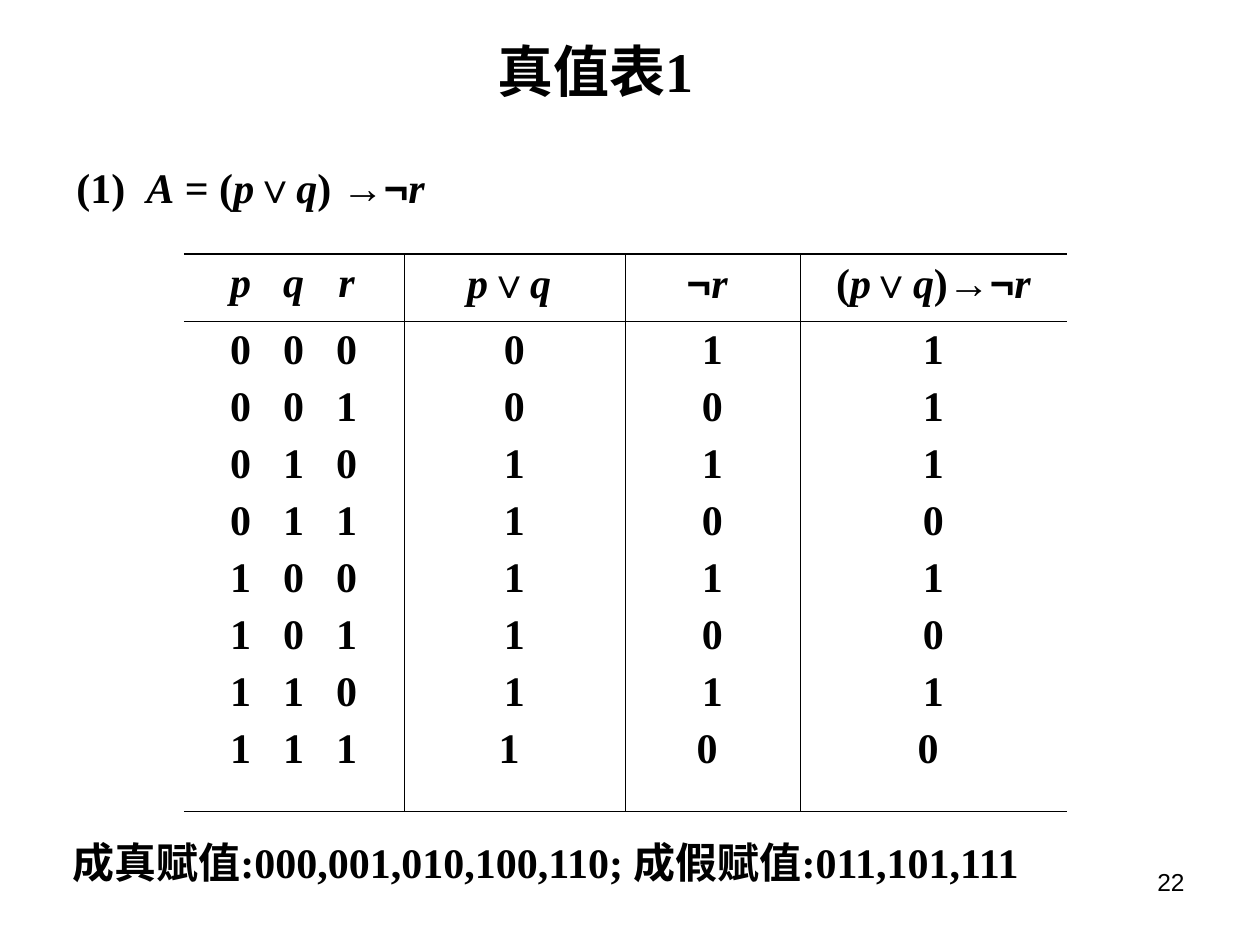
from dataclasses import dataclass
from itertools import groupby

from lxml.etree import SubElement
from pptx import Presentation
from pptx.dml.color import RGBColor
from pptx.enum.text import MSO_ANCHOR as Anchor, MSO_AUTO_SIZE as AutoSize, PP_ALIGN as Align
from pptx.oxml.ns import qn
from pptx.util import Pt

EMU_PER_PX = 914400 / 126


@dataclass(frozen=True)
class Theme:
    ink: str = "000000"
    serif: str = "Times New Roman"
    sans: str = "Arial"
    title: int = 32
    body: int = 24
    page: int = 14
    thin: float = 0.45
    thick: float = 1.08


@dataclass(frozen=True)
class Box:
    left: int
    top: int
    width: int
    height: int

    def emu(self) -> list[int]:
        return [px(n) for n in (self.left, self.top, self.width, self.height)]


@dataclass(frozen=True)
class Tab:
    at: int
    align: str = "l"


@dataclass(frozen=True)
class Style:
    size: int
    font: str
    bold: bool = True
    align: Align = Align.LEFT
    before: int = 0
    tabs: tuple[Tab, ...] = ()


@dataclass(frozen=True)
class Column:
    width: int
    heading: str
    values: tuple[str, ...]
    style: Style


THEME = Theme()
BODY = Style(THEME.body, THEME.serif)
CENTRED = Style(THEME.body, THEME.serif, align=Align.CENTER, before=6)
ASSIGNMENT = Style(THEME.body, THEME.serif, before=6,
                   tabs=tuple(Tab(44 + 53 * i, "ctr") for i in range(3)))
ASSIGNMENTS = tuple("\t" + "\t".join(f"{n:03b}") for n in range(8))

COLUMNS = (
    Column(220, "\tp\tq\tr", ASSIGNMENTS, ASSIGNMENT),
    Column(221, "p∨q ", (*"0011111", "1 "), CENTRED),
    Column(175, "¬r ", (*"1010101", "0 "), CENTRED),
    Column(267, "(p∨q)→¬r", (*"1110101", "0 "), CENTRED),
)
ROW_HEIGHTS = (67, 490)


def px(n: int) -> int:
    return round(n * EMU_PER_PX)


def glyph_kind(char: str) -> str:
    if char in "∨→¬":
        return "symbol"
    return "variable" if char.isascii() and char.isalpha() else "plain"


def write(paragraph, text: str, style: Style) -> None:
    paragraph.alignment = style.align
    paragraph.space_before = Pt(style.before)
    font = paragraph.font
    font.size, font.bold, font.name = Pt(style.size), style.bold, style.font
    font.color.rgb = RGBColor.from_string(THEME.ink)
    if style.tabs:
        properties = paragraph._p.get_or_add_pPr()
        stops = SubElement(properties, qn("a:tabLst"))
        for tab in style.tabs:
            SubElement(stops, qn("a:tab"), pos=str(px(tab.at)), algn=tab.align)
        properties.find(qn("a:defRPr")).addprevious(stops)
    for kind, chars in groupby(text, glyph_kind):
        run = paragraph.add_run()
        run.text = "".join(chars)
        if kind == "symbol":
            run.font.name = THEME.sans
        elif kind == "variable":
            run.font.italic = True


def add_text(slide, box: Box, text: str, style: Style, wrap: bool = True,
             anchor: Anchor = Anchor.TOP) -> None:
    frame = slide.shapes.add_textbox(*box.emu()).text_frame
    frame.word_wrap = wrap
    frame.vertical_anchor = anchor
    write(frame.paragraphs[0], text, style)


def add_title(slide, box: Box, text: str) -> None:
    title = slide.shapes.title
    title.left, title.top, title.width, title.height = box.emu()
    frame = title.text_frame
    frame.word_wrap = False
    frame.auto_size = AutoSize.NONE
    frame.vertical_anchor = Anchor.TOP
    write(frame.paragraphs[0], text, Style(THEME.title, THEME.serif))


def set_borders(cell, left: float, right: float, top: float, bottom: float) -> None:
    cell.fill.background()
    properties = cell._tc.get_or_add_tcPr()
    fill = properties[0]
    for side, width in zip("LRTB", (left, right, top, bottom)):
        line = SubElement(properties, qn(f"a:ln{side}"), w=str(Pt(width)))
        if width:
            solid = SubElement(line, qn("a:solidFill"))
            SubElement(solid, qn("a:srgbClr"), val=THEME.ink)
        else:
            SubElement(line, qn("a:noFill"))
        fill.addprevious(line)


def add_truth_table(slide, left: int, top: int) -> None:
    box = Box(left, top, sum(c.width for c in COLUMNS), sum(ROW_HEIGHTS))
    table = slide.shapes.add_table(len(ROW_HEIGHTS), len(COLUMNS), *box.emu()).table
    table.first_row = table.horz_banding = False
    for row, height in zip(table.rows, ROW_HEIGHTS):
        row.height = px(height)
    for c, column in enumerate(COLUMNS):
        table.columns[c].width = px(column.width)
        left_rule = THEME.thin if c > 0 else 0
        right_rule = THEME.thin if c < len(COLUMNS) - 1 else 0
        heading, body = table.cell(0, c), table.cell(1, c)
        write(heading.text_frame.paragraphs[0], column.heading, column.style)
        for i, value in enumerate(column.values):
            frame = body.text_frame
            write(frame.add_paragraph() if i else frame.paragraphs[0], value, column.style)
        set_borders(heading, left_rule, right_rule, THEME.thick, THEME.thin)
        set_borders(body, left_rule, right_rule, THEME.thin, THEME.thin)


def main() -> None:
    deck = Presentation()
    deck.slide_width, deck.slide_height = px(1260), px(945)
    slide = deck.slides.add_slide(deck.slide_layouts[5])
    add_title(slide, Box(485, 30, 290, 81), "真值表1")
    add_text(slide, Box(64, 155, 1071, 63), "(1)\tA = (p∨q) →¬r",
             Style(THEME.body, THEME.serif, tabs=(Tab(70),)))
    add_truth_table(slide, 184, 254)
    add_text(slide, Box(60, 830, 1021, 63),
             "成真赋值:000,001,010,100,110; 成假赋值:011,101,111",
             BODY, wrap=False, anchor=Anchor.MIDDLE)
    add_text(slide, Box(903, 861, 294, 66), "22",
             Style(THEME.page, THEME.sans, bold=False, align=Align.RIGHT))
    deck.save("out.pptx")


if __name__ == "__main__":
    main()
